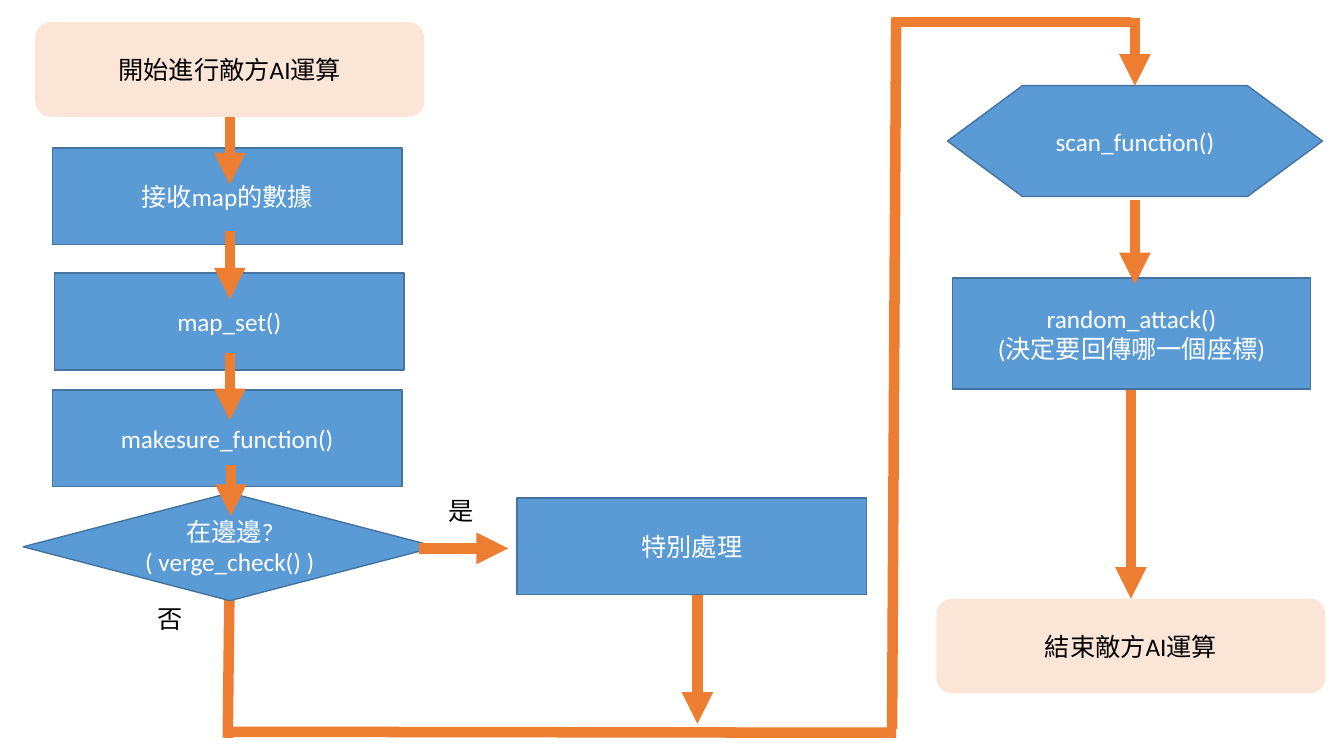
import pptx
import pptx.util
import pptx.dml.color
import pptx.enum.shapes
import pptx.enum.text
import pptx.oxml.ns
from lxml import etree

Pt = pptx.util.Pt
SHAPES = pptx.enum.shapes.MSO_SHAPE
ALIGN = pptx.enum.text.PP_ALIGN
COLORS = {"step": "5B9BD5", "edge": "43739E", "terminal": "FBE5D6",
          "arrow": "ED7D31", "light": "FFFFFF", "dark": "000000"}
STEP_SIZE = (249.8, 69.1)
TERMINAL_SIZE = (277.9, 67.7)
LABEL_SIZE = (31.7, 28.8)


def color(name):
    """Return the named colour."""
    return pptx.dml.color.RGBColor.from_string(COLORS[name])


class Flowchart:
    """Style and current slide of the flowchart."""

    font = "Calibri"
    font_size = 18
    edge_width = 1
    arrow_width = 7.5

    def __init__(self, page):
        """Keep the slide to draw on."""
        self.page = page

    def set_text(self, shape, text, ink, align):
        """Put text into a shape and format it."""
        frame = shape.text_frame
        frame.word_wrap = True
        frame.text = text
        for para in frame.paragraphs:
            para.alignment = align
            for span in para.runs:
                span.font.name = self.font
                span.font.size = Pt(self.font_size)
                span.font.color.rgb = color(ink)

    def node(self, kind, position, size, text, fill="step", ink="light"):
        """Add a filled shape with centred text."""
        box = self.page.shapes.add_shape(kind, *map(Pt, position + size))
        box.shadow.inherit = False
        box.fill.solid()
        box.fill.fore_color.rgb = color(fill)
        if fill == "step":
            box.line.color.rgb = color("edge")
            box.line.width = Pt(self.edge_width)
        else:
            box.line.fill.background()
        box.text_frame.vertical_anchor = pptx.enum.text.MSO_ANCHOR.MIDDLE
        self.set_text(box, text, ink, ALIGN.CENTER)

    def step(self, position, text):
        """Add a process box of the usual size."""
        self.node(SHAPES.RECTANGLE, position, STEP_SIZE, text)

    def terminal(self, position, text):
        """Add a rounded start or end box."""
        self.node(SHAPES.ROUNDED_RECTANGLE, position, TERMINAL_SIZE, text,
                  "terminal", "dark")

    def label(self, position, text):
        """Add a branch label."""
        box = self.page.shapes.add_textbox(*map(Pt, position + LABEL_SIZE))
        self.set_text(box, text, "dark", ALIGN.LEFT)

    def line(self, start, end, head=True):
        """Add a thick line, with an arrowhead at its end if wanted."""
        line = self.page.shapes.add_connector(
            pptx.enum.shapes.MSO_CONNECTOR.STRAIGHT, *map(Pt, start + end))
        line.line.color.rgb = color("arrow")
        line.line.width = Pt(self.arrow_width)
        qn = pptx.oxml.ns.qn
        properties = line._element.spPr
        if head:
            etree.SubElement(properties.find(qn("a:ln")), qn("a:tailEnd"),
                             type="triangle")
        etree.SubElement(properties, qn("a:effectLst"))

    def down(self, x, top, bottom):
        """Add a vertical arrow pointing down."""
        self.line((x, top), (x, bottom))


deck = pptx.Presentation()
deck.slide_width, deck.slide_height = Pt(960), Pt(540)
chart = Flowchart(deck.slides.add_slide(deck.slide_layouts[6]))

# Lines that run beneath the boxes
chart.down(498.2, 390.2, 517)
for start, end in [((164.2, 396), (162.7, 527)),
                   ((161.3, 522.7), (640.1, 523.4)),
                   ((637.2, 520.6), (640.1, 13)),
                   ((637.2, 15.8), (807.8, 15.8))]:
    chart.line(start, end, head=False)

# Boxes
chart.terminal((25.2, 15.8), "開始進行敵方AI運算")
chart.step((37.4, 105.8), "接收map的數據")
chart.step((38.9, 195.1), "map_set()")
chart.step((37.4, 278.6), "makesure_function()")
chart.node(SHAPES.FLOWCHART_DECISION, (16.6, 352.1), (295.2, 77),
           "在邊邊?\n( verge_check() )")
chart.step((369.4, 355.7), "特別處理")
chart.node(SHAPES.FLOWCHART_PREPARATION, (676.8, 61.2), (267.8, 79.2),
           "scan_function()")
chart.node(SHAPES.RECTANGLE, (680.4, 198.7), (255.6, 79.2),
           "random_attack()\n(決定要回傳哪一個座標)")
chart.terminal((668.9, 427.7), "結束敵方AI運算")
chart.label((313.2, 350.6), "是")
chart.label((105.8, 427.7), "否")

# Arrows on top of the boxes
for x, top, bottom in [(164.2, 83.5, 131.8), (164.2, 164.9, 213.8),
                       (164.2, 252, 300.2), (164.9, 331.9, 368.6),
                       (810.7, 13, 61.2), (810.7, 142.6, 203),
                       (807.8, 278.6, 427.7)]:
    chart.down(x, top, bottom)
chart.line((299.5, 391.7), (362.9, 391.7))

deck.save("out.pptx")
